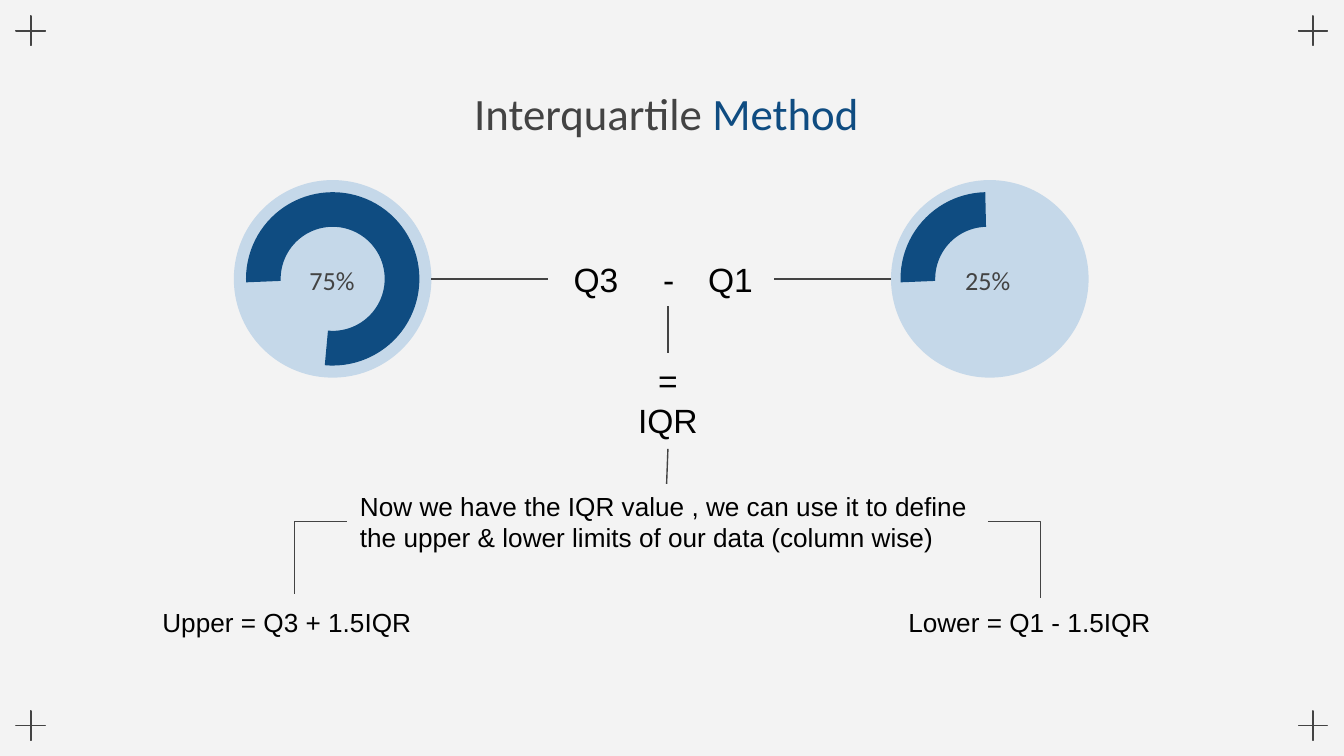
from pptx import Presentation
from pptx.dml.color import RGBColor
from pptx.enum.shapes import MSO_CONNECTOR, MSO_SHAPE
from pptx.enum.text import MSO_ANCHOR, MSO_AUTO_SIZE, PP_ALIGN
from pptx.oxml.ns import qn
from pptx.util import Pt
from lxml.etree import SubElement

COLORS = {
    name: RGBColor.from_string(value)
    for name, value in {
        "background": "F3F3F3",
        "gray": "434343",
        "navy": "0F4C81",
        "pale": "C5D8E9",
        "black": "000000",
    }.items()
}

presentation = Presentation()
presentation.slide_width = Pt(720)
presentation.slide_height = Pt(405)
slide = presentation.slides.add_slide(presentation.slide_layouts[6])
slide.background.fill.solid()
slide.background.fill.fore_color.rgb = COLORS["background"]
shapes = slide.shapes


def write(text, *, at, size=14, font="Arial", colors=("black",), align=PP_ALIGN.LEFT,
          anchor=MSO_ANCHOR.TOP, inset=3.6, grow=True, tabs=()):
    box = shapes.add_textbox(*map(Pt, at))
    frame = box.text_frame
    frame.word_wrap = True
    frame.auto_size = MSO_AUTO_SIZE.SHAPE_TO_FIT_TEXT if grow else MSO_AUTO_SIZE.NONE
    frame.vertical_anchor = anchor
    frame.margin_left = frame.margin_right = Pt(7.2)
    frame.margin_top = frame.margin_bottom = Pt(inset)
    for index, line in enumerate(text.split("\n")):
        paragraph = frame.add_paragraph() if index else frame.paragraphs[0]
        paragraph.alignment = align
        if tabs:
            stops = SubElement(paragraph._p.get_or_add_pPr(), qn("a:tabLst"))
            for position in tabs:
                SubElement(stops, qn("a:tab"), pos=str(Pt(position)), algn="l")
        for part, color in zip(line.split("|"), colors):
            run = paragraph.add_run()
            run.text = part
            run.font.size = Pt(size)
            run.font.name = font
            run.font.color.rgb = COLORS[color]
    return box


def connect(start, end, kind=MSO_CONNECTOR.STRAIGHT):
    connector = shapes.add_connector(kind, *map(Pt, (*start, *end)))
    connector.line.color.rgb = COLORS["gray"]
    connector.line.width = Pt(0.75)
    SubElement(connector._element.spPr, qn("a:effectLst"))
    return connector


for top in (5.76, 378):
    for left in (5.76, 692.64):
        corner = shapes.add_shape(MSO_SHAPE.MATH_PLUS, Pt(left), Pt(top), Pt(21.6), Pt(21.6))
        corner.adjustments[0] = 0.007
        corner.shadow.inherit = False
        corner.fill.background()
        corner.line.color.rgb = COLORS["gray"]
        corner.line.width = Pt(0.75)

write("Interquartile |Method ", at=(110.88, 38.88, 497.52, 45.36), size=24, font="Calibri",
      colors=("gray", "navy"), align=PP_ALIGN.CENTER, inset=7.2, grow=False)

for percent, disc_left, label_left, arc_left, arc_start in (
    ("75%", 125.28, 149.76, 131.76, 212.86),
    ("25%", 477.36, 501.12, 482.4, 108.78),
):
    disc = shapes.add_shape(MSO_SHAPE.OVAL, Pt(disc_left), Pt(96.48), Pt(105.84), Pt(105.84))
    write(percent, at=(label_left, 128.88, 56.16, 41.76), font="Calibri", colors=("gray",),
          align=PP_ALIGN.CENTER, anchor=MSO_ANCHOR.MIDDLE, inset=7.2, grow=False)
    arc = shapes.add_shape(MSO_SHAPE.BLOCK_ARC, Pt(arc_left), Pt(102.96), Pt(92.88), Pt(92.88))
    for index, value in enumerate((arc_start, 163.38, 0.2)):
        arc.adjustments[index] = value
    arc.rotation = 270
    arc._element.spPr.xfrm.set("flipH", "1")
    for part, color in ((disc, "pale"), (arc, "navy")):
        part.shadow.inherit = False
        part.fill.solid()
        part.fill.fore_color.rgb = COLORS[color]
        part.line.fill.background()

difference = write("Q3\t-\tQ1", at=(300.24, 135.36, 115.2, 28.8), size=18, tabs=(48, 72))
iqr = write("=\nIQR", at=(322.56, 189.36, 70.56, 51.12), size=18, align=PP_ALIGN.CENTER)
limits = write("Now we have the IQR value , we can use it to define the upper & lower limits "
               "of our data (column wise)", at=(185.76, 259.2, 342.72, 41.04))
write("Upper = Q3 + 1.5IQR", at=(79.92, 321.12, 155.52, 24.48))
write("Lower = Q1 - 1.5IQR", at=(479.52, 321.12, 155.52, 24.48))

connect((231.12, 149.4), (293.76, 149.4))
connect((477.36, 149.4), (414.72, 149.4))

for upper, lower in ((difference, iqr), (iqr, limits)):
    link = connect((357, 164), (357, 189))
    link.begin_connect(upper, 2)
    link.end_connect(lower, 0)

for start, end in (
    ((185.76, 279.36), (157.68, 318.24)),
    ((529.2, 279.36), (557.28, 320.4)),
):
    branch = connect(start, end, MSO_CONNECTOR.ELBOW)
    branch._element.spPr.find(qn("a:prstGeom")).set("prst", "bentConnector2")

presentation.save("out.pptx")
